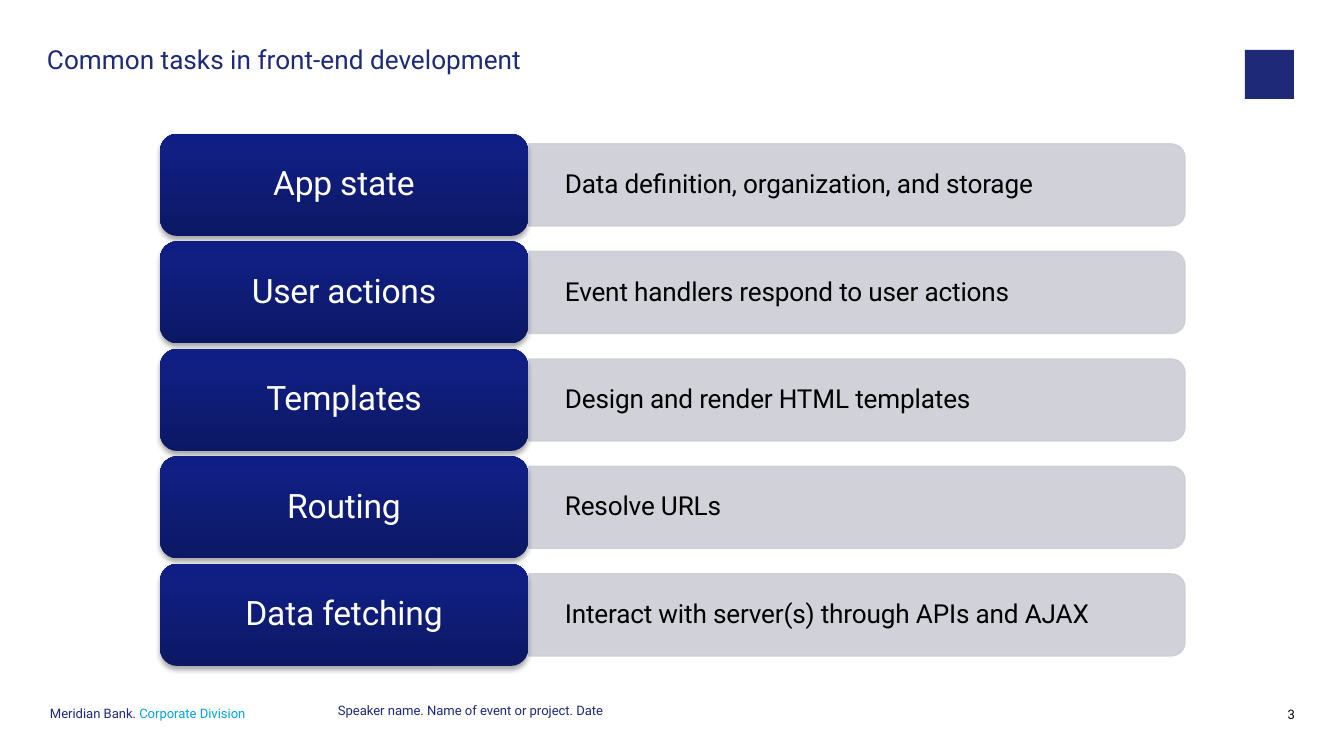
from lxml.etree import SubElement
from pptx import Presentation
from pptx.dml.color import RGBColor
from pptx.enum.shapes import MSO_SHAPE as Shape
from pptx.enum.text import MSO_ANCHOR as Anchor, PP_ALIGN as Align
from pptx.oxml.ns import qn
from pptx.util import Emu, Pt

EMU_PER_PX = 914400 / 134.4
FONT = "Roboto"
NAVY, CYAN, GREY, BLACK, WHITE = "1E2A78", "00A3E0", "CDCDD6", "000000", "FFFFFF"
LABEL_GRADIENT = [(0, "0C1864"), (80, "101F81"), (100, "0E1E84")]

TASKS = [
    ("App state", "Data definition, organization, and storage"),
    ("User actions", "Event handlers respond to user actions"),
    ("Templates", "Design and render HTML templates"),
    ("Routing", "Resolve URLs"),
    ("Data fetching", "Interact with server(s) through APIs and AJAX"),
]
FIRST_TOP, LAST_TOP = 134, 564
LABEL_LEFT, LABEL_WIDTH, LABEL_HEIGHT = 160, 368, 102
BAR_WIDTH, BAR_HEIGHT = 656, 82


def px(length):
    return Emu(round(length * EMU_PER_PX))


def box(*lengths):
    return [px(length) for length in lengths]


def rgb(colour):
    return RGBColor.from_string(colour)


def write(shape, parts, size, align=Align.LEFT, spacing=0.9, anchor=Anchor.TOP,
          inset=(0, 0), tracking=0):
    """Fill a shape with one paragraph made of (text, colour) parts."""
    frame = shape.text_frame
    frame.word_wrap = True
    frame.vertical_anchor = anchor
    frame.margin_left = frame.margin_right = px(inset[0])
    frame.margin_top = frame.margin_bottom = px(inset[1])
    paragraph = frame.paragraphs[0]
    paragraph.alignment = align
    paragraph.line_spacing = spacing
    for text, colour in parts:
        run = paragraph.add_run()
        run.text = text
        run.font.name = FONT
        run.font.size = Pt(size)
        run.font.color.rgb = rgb(colour)
        if tracking:
            run.font._element.set("spc", str(tracking))


def add_text(slide, bounds, parts, size, **layout):
    write(slide.shapes.add_textbox(*box(*bounds)), parts, size, **layout)


def add_title(slide, text):
    title = slide.shapes.title
    title.left, title.top, title.width, title.height = box(47, 47, 1148, 52)
    write(title, [(text, NAVY)], 14)


def add_logo_block(slide):
    block = slide.shapes.add_shape(Shape.RECTANGLE, *box(1245, 50, 49, 49))
    block.shadow.inherit = False
    block.fill.solid()
    block.fill.fore_color.rgb = rgb(NAVY)
    block.line.fill.background()


def add_bar(slide, left, top):
    """Add a bar rounded on its right end: a tall tab turned by 90 degrees."""
    middle_x, middle_y = left + BAR_WIDTH / 2, top + BAR_HEIGHT / 2
    bar = slide.shapes.add_shape(
        Shape.ROUND_2_SAME_RECTANGLE,
        *box(middle_x - BAR_HEIGHT / 2, middle_y - BAR_WIDTH / 2, BAR_HEIGHT, BAR_WIDTH))
    bar.rotation = 90
    bar.shadow.inherit = False
    bar.line.width = Pt(0.75)
    for paint in (bar.fill, bar.line.fill):
        paint.solid()
        paint.fore_color.rgb = rgb(GREY)
    for colour in bar._element.spPr.iter(qn("a:srgbClr")):
        SubElement(colour, qn("a:alpha"), val="90000")


def paint_gradient(shape, stops):
    shape.fill.gradient()
    shape.fill.gradient_angle = 90
    stop_list = shape._element.spPr.find(".//" + qn("a:gsLst"))
    for default_stop in list(stop_list):
        stop_list.remove(default_stop)
    for percent, colour in stops:
        stop = SubElement(stop_list, qn("a:gs"), pos=str(percent * 1000))
        SubElement(stop, qn("a:srgbClr"), val=colour)


def add_drop_shadow(shape):
    shape.shadow.inherit = False
    effects = shape._element.spPr.find(qn("a:effectLst"))
    shadow = SubElement(effects, qn("a:outerShdw"), blurRad=str(Pt(3.1)),
                        dist=str(Pt(1.8)), dir="5400000", rotWithShape="0")
    colour = SubElement(shadow, qn("a:srgbClr"), val=BLACK)
    SubElement(colour, qn("a:alpha"), val="35000")


def add_label(slide, top, text):
    label = slide.shapes.add_shape(
        Shape.ROUNDED_RECTANGLE, *box(LABEL_LEFT, top, LABEL_WIDTH, LABEL_HEIGHT))
    paint_gradient(label, LABEL_GRADIENT)
    label.line.fill.background()
    add_drop_shadow(label)
    write(label, [(text, WHITE)], 18, align=Align.CENTER, anchor=Anchor.MIDDLE,
          inset=(10, 5), tracking=-10)


def add_task(slide, top, name, description):
    bar_left = LABEL_LEFT + LABEL_WIDTH + 1
    bar_top = top + (LABEL_HEIGHT - BAR_HEIGHT) / 2
    add_bar(slide, bar_left, bar_top)
    add_text(slide, (bar_left, bar_top + 4, BAR_WIDTH - 4, BAR_HEIGHT - 8),
             [(description, BLACK)], 14, anchor=Anchor.MIDDLE, inset=(36, 18),
             tracking=-10)
    add_label(slide, top, name)


def add_footer(slide):
    add_text(slide, (50, 706, 265, 35),
             [("Meridian Bank. ", NAVY), ("Corporate Division", CYAN)], 7, spacing=Pt(8))
    add_text(slide, (338, 706, 659, 35),
             [("Speaker name. Name of event or project. Date", NAVY)], 7,
             spacing=Pt(6.5))
    add_text(slide, (1244, 707, 51, 35), [("3", BLACK)], 7, align=Align.RIGHT,
             spacing=Pt(8))


def main():
    deck = Presentation()
    deck.slide_width, deck.slide_height = box(1344, 756)
    slide = deck.slides.add_slide(deck.slide_layouts[5])
    add_title(slide, "Common tasks in front-end development")
    add_logo_block(slide)
    pitch = (LAST_TOP - FIRST_TOP) / (len(TASKS) - 1)
    for row, (name, description) in enumerate(TASKS):
        add_task(slide, FIRST_TOP + row * pitch, name, description)
    add_footer(slide)
    deck.save("out.pptx")


if __name__ == "__main__":
    main()
